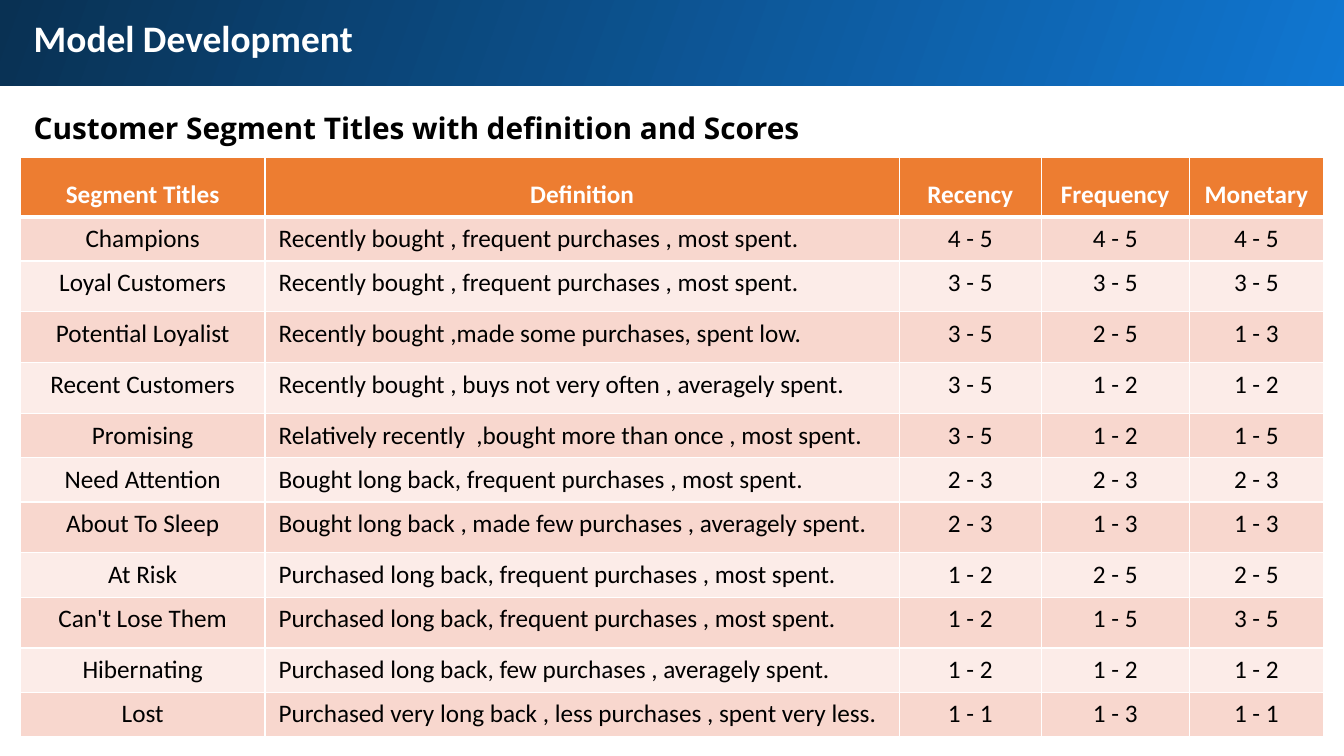
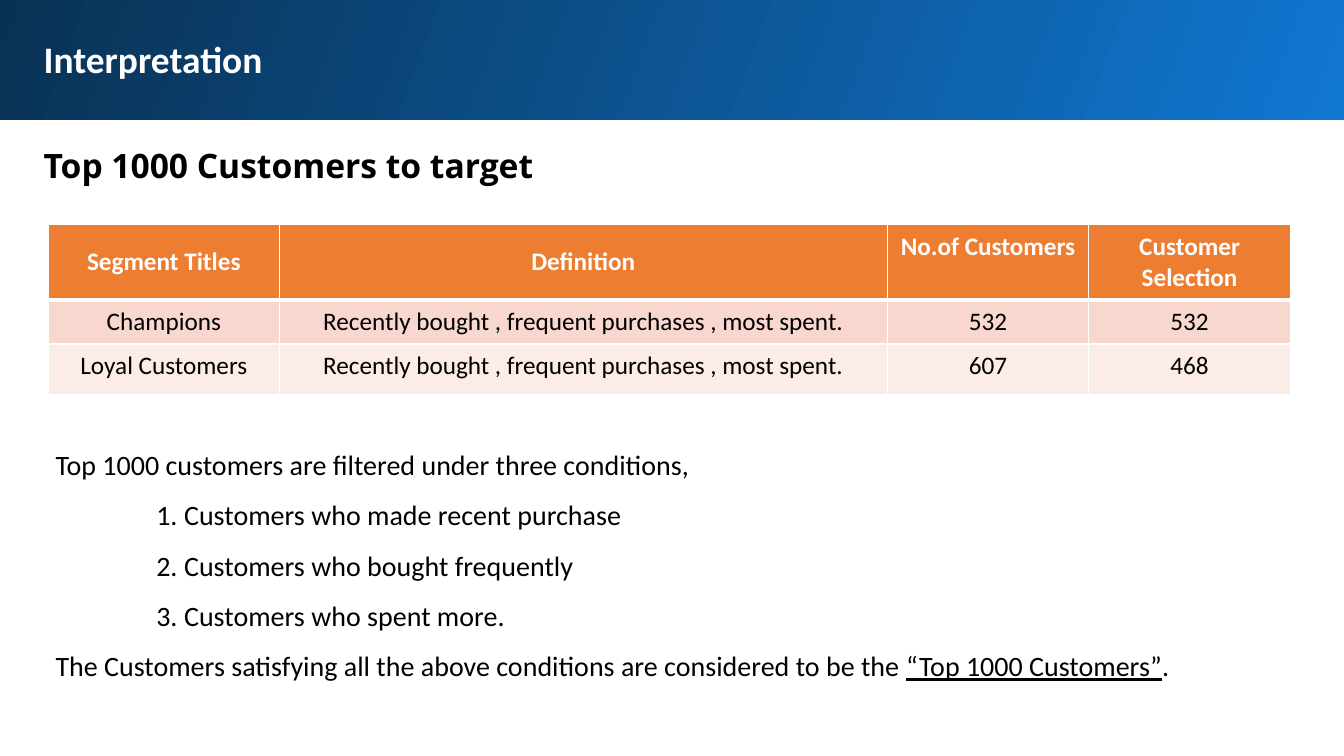
"""Two slides on customer segments: scoring definitions and the top 1000 customers."""
from lxml import etree
from pptx import Presentation
from pptx import util as u
from pptx.dml.color import RGBColor
from pptx.enum import shapes, text
from pptx.oxml import ns

COLORS = {"dark": "093153", "bright": "1077D2", "white": "FFFFFF", "black": "000000",
          "header": "ED7D31", "odd": "F8D7CE", "even": "FCECE8"}
BODY, HEADING = "Calibri", "Open Sans"
LEFT, CENTER = text.PP_ALIGN.LEFT, text.PP_ALIGN.CENTER
SHORT, TALL = 1.1, 1.28

FREQUENT = "Recently bought , frequent purchases , most spent."
SLIDES = [
    {
        "band": (0, 0, 34.04, 2.16),
        "title": ("Model Development", (0.51, 0.05, 31.98, 1.83)),
        "subtitle": ("Customer Segment Titles with definition and Scores", 21.3,
                     (0.51, 2.29, 31.34, 1.68)),
        "table_at": (0.51, 3.96),
        "header_height": 1.5,
        "columns": [("Segment Titles", 6.17, CENTER, 1.5), ("Definition", 15.98, LEFT, 1.5),
                    ("Recency", 3.58, CENTER, 1.5), ("Frequency", 3.73, CENTER, 1.5),
                    ("Monetary", 3.38, CENTER, 1.5)],
        "rows": [
            (SHORT, "Champions", FREQUENT, "4 - 5", "4 - 5", "4 - 5"),
            (TALL, "Loyal Customers", FREQUENT, "3 - 5", "3 - 5", "3 - 5"),
            (TALL, "Potential Loyalist", "Recently bought ,made some purchases, spent low.",
             "3 - 5", "2 - 5", "1 - 3"),
            (TALL, "Recent Customers", "Recently bought , buys not very often , averagely spent.",
             "3 - 5", "1 - 2", "1 - 2"),
            (SHORT, "Promising", "Relatively recently  ,bought more than once , most spent.",
             "3 - 5", "1 - 2", "1 - 5"),
            (SHORT, "Need Attention", "Bought long back, frequent purchases , most spent.",
             "2 - 3", "2 - 3", "2 - 3"),
            (TALL, "About To Sleep", "Bought long back , made few purchases , averagely spent.",
             "2 - 3", "1 - 3", "1 - 3"),
            (SHORT, "At Risk", "Purchased long back, frequent purchases , most spent.",
             "1 - 2", "2 - 5", "2 - 5"),
            (TALL, "Can't Lose Them", "Purchased long back, frequent purchases , most spent.",
             "1 - 2", "1 - 5", "3 - 5"),
            (SHORT, "Hibernating", "Purchased long back, few purchases , averagely spent.",
             "1 - 2", "1 - 2", "1 - 2"),
            (SHORT, "Lost", "Purchased very long back , less purchases , spent very less.",
             "1 - 1", "1 - 3", "1 - 1"),
        ],
    },
    {
        "band": (-0.05, -0.08, 34.04, 3.1),
        "title": ("Interpretation", (0.76, 0.58, 31.72, 1.83)),
        "subtitle": ("Top 1000 Customers to target", 24, (0.76, 3.15, 31.72, 1.78)),
        "table_at": (1.22, 5.66),
        "header_height": 1.7,
        "columns": [("Segment Titles", 5.82, CENTER, 1.5), ("Definition", 15.32, CENTER, 1.5),
                    ("No.of Customers", 5.08, CENTER, 1), ("Customer\nSelection", 5.08, CENTER, 1)],
        "rows": [(SHORT, "Champions", FREQUENT, "532", "532"),
                 (TALL, "Loyal Customers", FREQUENT, "607", "468")],
    },
]
CONDITIONS_AT = (1.22, 10.67, 31.27, 6.76)
CONDITIONS = [
    (False, ["Top 1000 customers are filtered under three conditions,"]),
    (True, ["Customers who made recent purchase"]),
    (True, ["Customers who bought frequently"]),
    (True, ["Customers who spent more."]),
    (False, ["The Customers satisfying all the above conditions are considered to be the ",
             "“Top 1000 Customers”", "."]),
]
UNDERLINED = "“Top 1000 Customers”"


def rgb(name):
    return RGBColor.from_string(COLORS[name])


def cm(lengths):
    return [u.Cm(length) for length in lengths]


def style(paragraph, size, color, bold=False, face=BODY, align=LEFT, spacing=1.0):
    font = paragraph.font
    font.size, font.bold, font.name = u.Pt(size), bold, face
    font.color.rgb = rgb(color)
    paragraph.alignment, paragraph.line_spacing = align, spacing


def set_frame(shape, inset):
    frame = shape.text_frame
    frame.word_wrap = True
    frame.auto_size = text.MSO_AUTO_SIZE.NONE
    frame.vertical_anchor = text.MSO_ANCHOR.TOP
    frame.margin_left = frame.margin_right = u.Cm(inset)
    frame.margin_top = frame.margin_bottom = u.Cm(inset)
    return frame


def add_heading(slide, content):
    wording, place = content["title"]
    title = slide.shapes.title
    title.left, title.top, title.width, title.height = cm(place)
    frame = set_frame(title, 0.34)
    frame.text = wording
    style(frame.paragraphs[0], 26.7, "white", bold=True)

    band = slide.shapes.add_shape(shapes.MSO_SHAPE.RECTANGLE, *cm(content["band"]))
    band.shadow.inherit = False
    band.line.fill.background()
    band.fill.gradient()
    band.fill.gradient_angle = 160
    for stop, color in zip(band.fill.gradient_stops, ("bright", "dark")):
        stop.color.rgb = rgb(color)
    title.element.addprevious(band.element)

    wording, size, place = content["subtitle"]
    frame = set_frame(slide.shapes.add_textbox(*cm(place)), 0.34)
    frame.text = wording
    style(frame.paragraphs[0], size, "black", bold=True, face=HEADING, spacing=1.15)


def set_borders(cell, top, bottom):
    properties = cell._tc.get_or_add_tcPr()
    for side, points in (("L", 1), ("R", 1), ("T", top), ("B", bottom)):
        line = etree.SubElement(properties, ns.qn(f"a:ln{side}"), w=str(u.Pt(points)))
        fill = etree.SubElement(line, ns.qn("a:solidFill"))
        etree.SubElement(fill, ns.qn("a:srgbClr"), val=COLORS["white"])


def fill_cell(cell, wording, fill, top, bottom, **look):
    set_borders(cell, top, bottom)
    cell.fill.solid()
    cell.fill.fore_color.rgb = rgb(fill)
    cell.margin_left = cell.margin_right = u.Cm(0.34)
    cell.margin_top = cell.margin_bottom = u.Cm(0.17)
    cell.text = wording
    for paragraph in cell.text_frame.paragraphs:
        style(paragraph, 18, **look)


def add_segments(slide, content):
    columns, rows = content["columns"], content["rows"]
    heights = [content["header_height"]] + [row[0] for row in rows]
    size = (sum(column[1] for column in columns), sum(heights))
    table = slide.shapes.add_table(len(heights), len(columns),
                                   *cm(content["table_at"] + size)).table
    table.horz_banding = False
    for row, height in zip(table.rows, heights):
        row.height = u.Cm(height)
    for c, (heading, width, align, spacing) in enumerate(columns):
        table.columns[c].width = u.Cm(width)
        fill_cell(table.cell(0, c), heading, "header", 1, 3,
                  color="white", bold=True, align=CENTER, spacing=spacing)
        for r, row in enumerate(rows, 1):
            fill_cell(table.cell(r, c), row[c + 1], "odd" if r % 2 else "even",
                      3 if r == 1 else 1, 1, color="black", align=align)


def number(paragraph):
    properties = paragraph._p.get_or_add_pPr()
    properties.set("marL", str(u.Cm(3.24)))
    properties.set("indent", str(u.Cm(-0.7)))
    etree.SubElement(properties, ns.qn("a:buAutoNum"), type="arabicPeriod")


def add_conditions(slide):
    frame = set_frame(slide.shapes.add_textbox(*cm(CONDITIONS_AT)), 0.18)
    for i, (numbered, parts) in enumerate(CONDITIONS):
        paragraph = frame.add_paragraph() if i else frame.paragraphs[0]
        if numbered:
            number(paragraph)
        style(paragraph, 20, "black", spacing=1.5)
        for part in parts:
            run = paragraph.add_run()
            run.text = part
            if part == UNDERLINED:
                run.font.underline = True


def main():
    deck = Presentation()
    deck.slide_width, deck.slide_height = cm((33.87, 19.05))
    for content in SLIDES:
        slide = deck.slides.add_slide(deck.slide_layouts.get_by_name("Title Only"))
        add_heading(slide, content)
        add_segments(slide, content)
    add_conditions(slide)
    deck.save("out.pptx")


if __name__ == "__main__":
    main()
